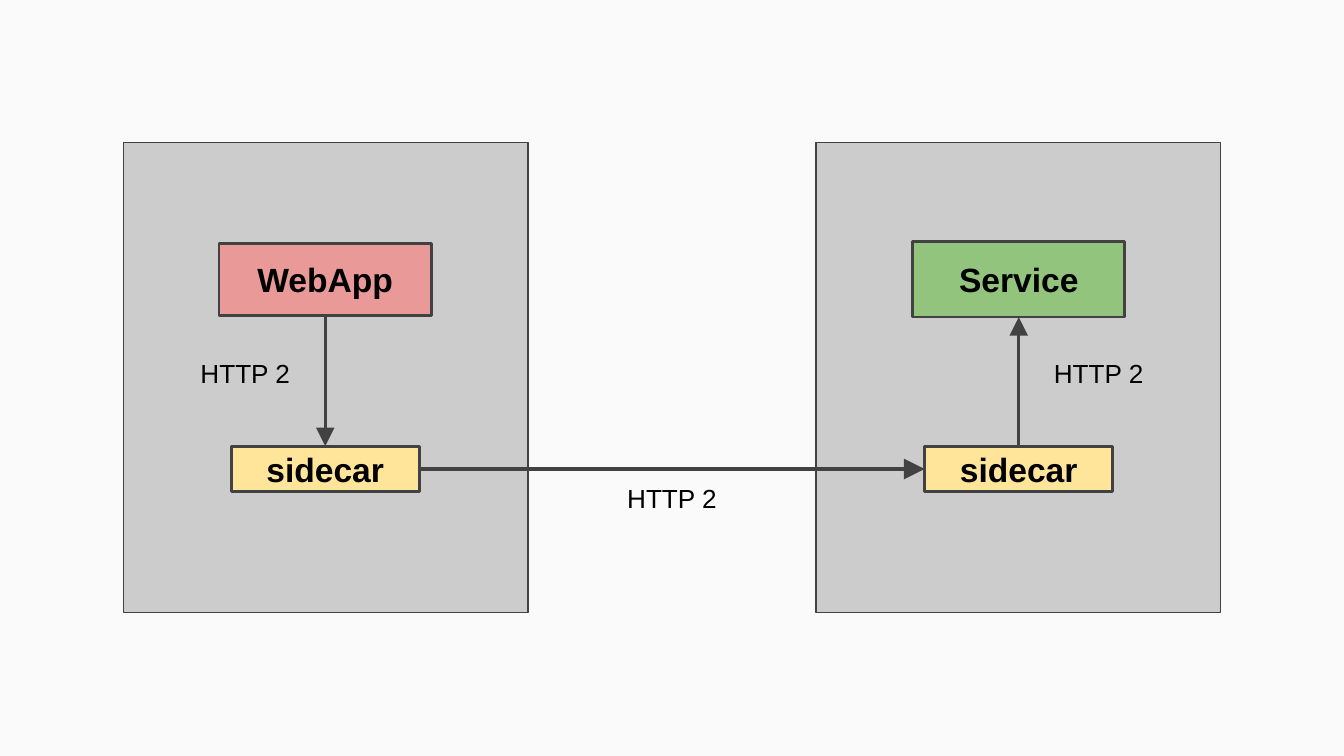
from lxml import etree
from pptx import Presentation
from pptx.dml.color import RGBColor
from pptx.enum.shapes import MSO_CONNECTOR, MSO_SHAPE
from pptx.enum.text import MSO_ANCHOR, PP_ALIGN
from pptx.oxml.ns import qn
from pptx.util import Inches, Pt

COLORS = {
    "background": "FAFAFA", "host": "CCCCCC", "outline": "424242", "text": "000000",
    "webapp": "EA9999", "service": "93C47D", "proxy": "FFE599",
}

prs = Presentation()
prs.slide_width = Inches(10)
prs.slide_height = prs.slide_width * 9 // 16
s = prs.slides.add_slide(prs.slide_layouts[6])
s.background.fill.solid()
s.background.fill.fore_color.rgb = RGBColor.from_string(COLORS["background"])


def add_box(text, x, y, w, h, fill=None, line=1.5, size=18, bold=True, anchor=MSO_ANCHOR.MIDDLE):
    """Add a filled rectangle, or a plain text box when there is no fill."""
    box = [Inches(v) for v in (x, y, w, h)]
    if fill:
        sp = s.shapes.add_shape(MSO_SHAPE.RECTANGLE, *box)
        sp.shadow.inherit = False
        sp.fill.solid()
        sp.fill.fore_color.rgb = RGBColor.from_string(COLORS[fill])
        sp.line.color.rgb = RGBColor.from_string(COLORS["outline"])
        sp.line.width = Pt(line)
    else:
        sp = s.shapes.add_textbox(*box)
    if not text:
        return
    tf = sp.text_frame
    tf.word_wrap = True
    tf.vertical_anchor = anchor
    tf.margin_left = tf.margin_right = tf.margin_top = tf.margin_bottom = Inches(0.1)
    p = tf.paragraphs[0]
    p.alignment = PP_ALIGN.CENTER
    r = p.add_run()
    r.text = text
    r.font.name = "Arial"
    r.font.size = Pt(size)
    r.font.bold = bold
    r.font.color.rgb = RGBColor.from_string(COLORS["text"])


def add_arrow(x1, y1, x2, y2, width=1.5):
    c = s.shapes.add_connector(MSO_CONNECTOR.STRAIGHT, *[Inches(v) for v in (x1, y1, x2, y2)])
    c.line.color.rgb = RGBColor.from_string(COLORS["outline"])
    c.line.width = Pt(width)
    ln = c._element.spPr.find(qn("a:ln"))
    etree.SubElement(ln, qn("a:tailEnd"), type="triangle", w="lg", len="lg")
    etree.SubElement(c._element.spPr, qn("a:effectLst"))


# Two mirrored hosts, each with an application above its proxy
left_x, right_x = 2.42, 7.58
host_w, host_h, host_y, side_margin = 3.01, 3.5, 1.06, 0.92
app_w, app_mid = 1.58, 2.08
proxy_w, proxy_h, proxy_y = 1.4, 0.34, 3.32
label_w, label_h = 1.19, 0.34

hosts = [
    (side_margin, left_x, "WebApp", "webapp", 0.54),
    (10 - side_margin - host_w, right_x, "Service", "service", 0.56),
]
for host_x, x, app, fill, app_h in hosts:
    add_box("", host_x, host_y, host_w, host_h, fill="host", line=0.75)
    add_box(app, x - app_w / 2, app_mid - app_h / 2, app_w, app_h, fill=fill)
    add_box("sidecar", x - proxy_w / 2, proxy_y, proxy_w, proxy_h, fill="proxy")

# The request goes down to the left proxy, across, and up to the service
proxy_mid = proxy_y + proxy_h / 2
add_arrow(left_x, 2.35, left_x, proxy_y)
add_arrow(left_x + proxy_w / 2, proxy_mid, right_x - proxy_w / 2, proxy_mid, width=2.25)
add_arrow(right_x, proxy_y, right_x, 2.36)

for x, y in [(left_x - label_w, 2.56), (right_x, 2.56), (5 - label_w / 2, proxy_mid)]:
    add_box("HTTP 2", x, y, label_w, label_h, size=14, bold=False, anchor=MSO_ANCHOR.TOP)

prs.save("out.pptx")
